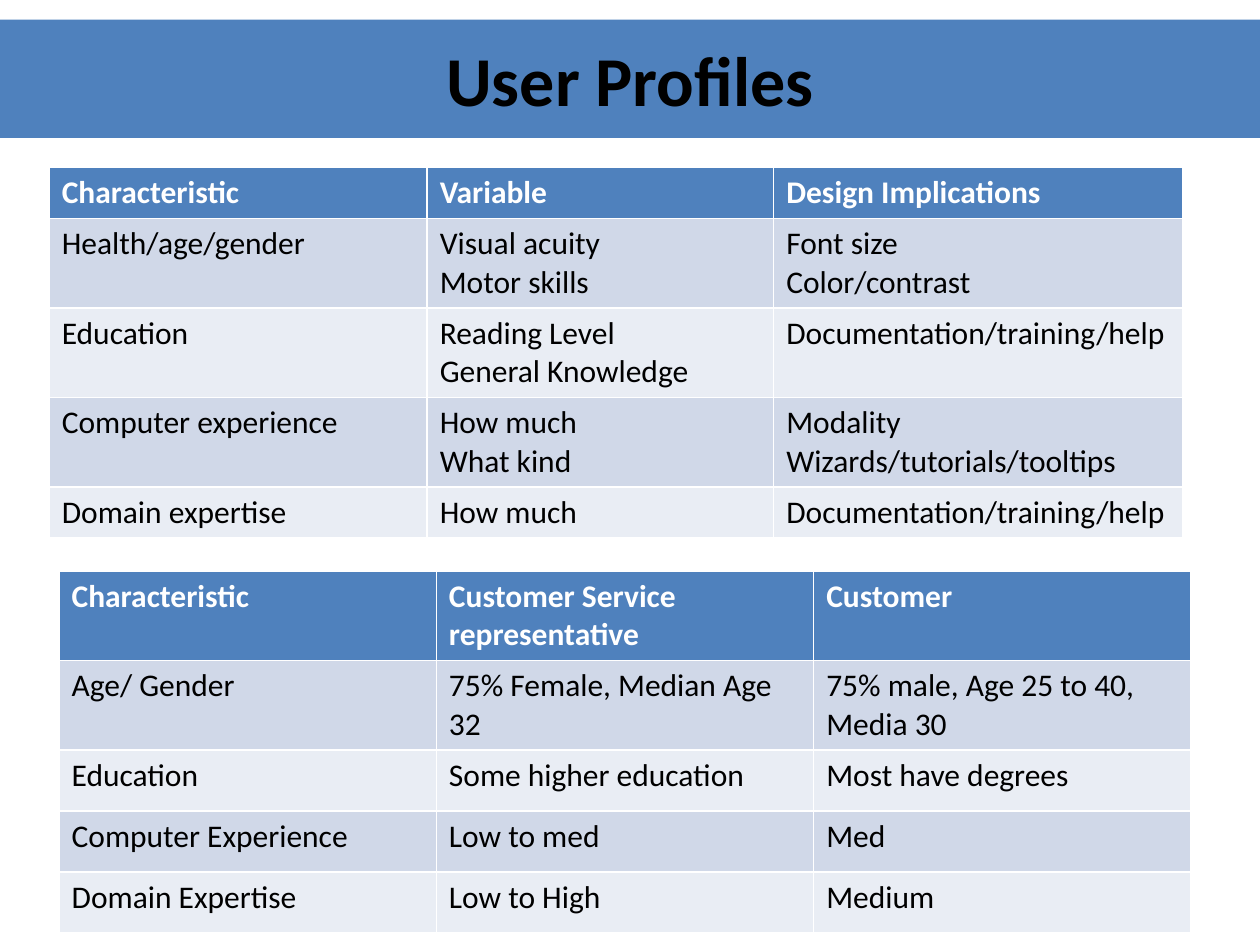
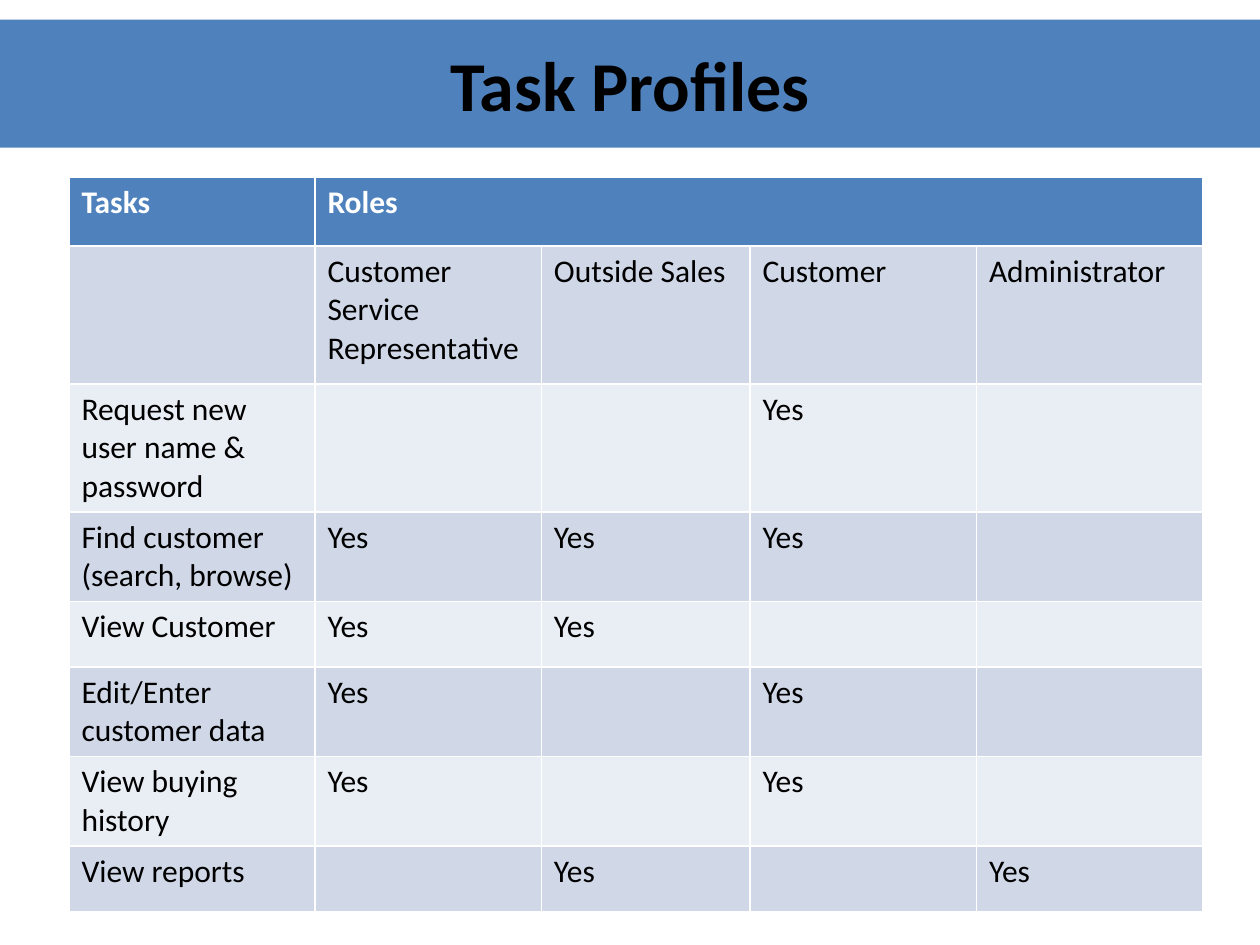
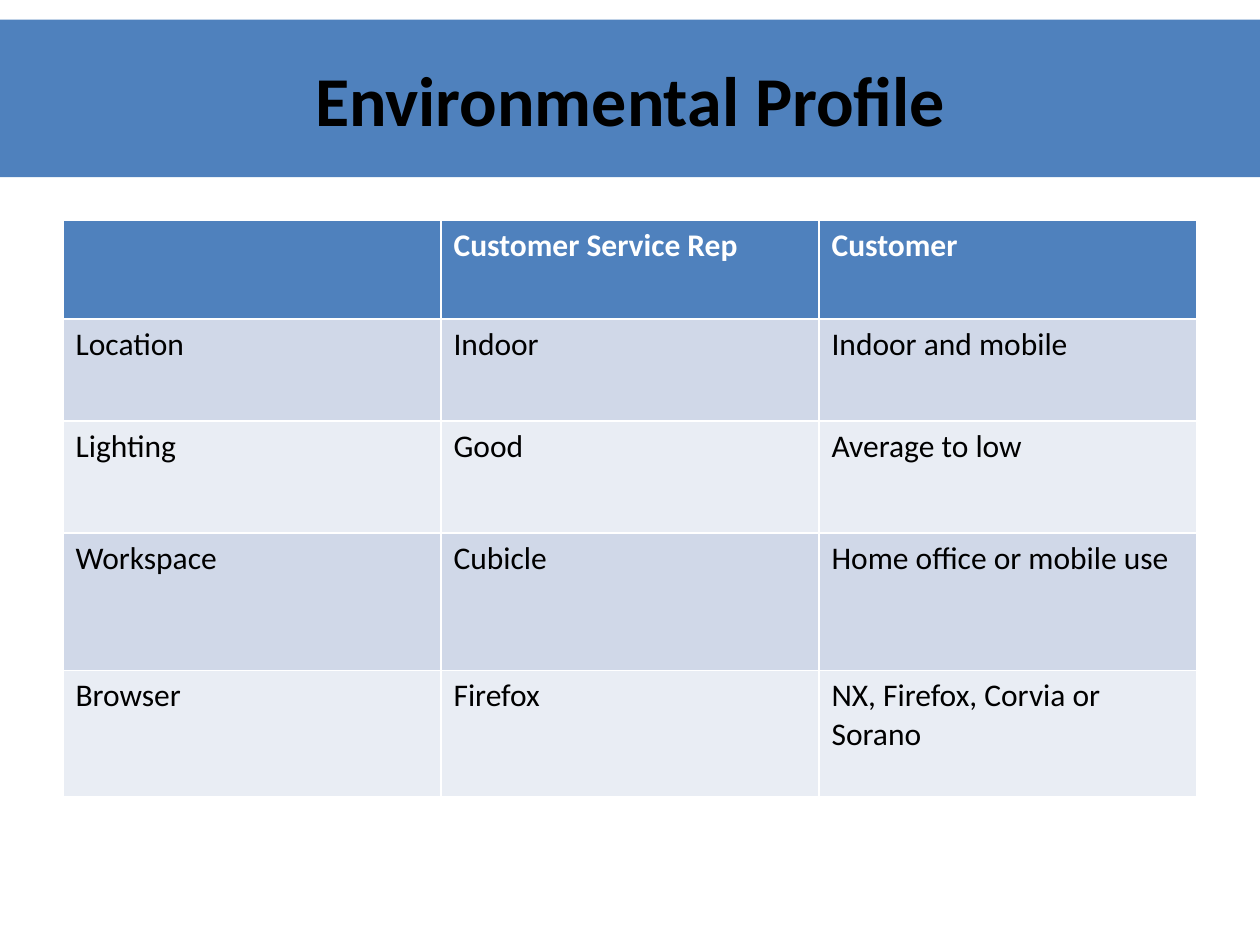
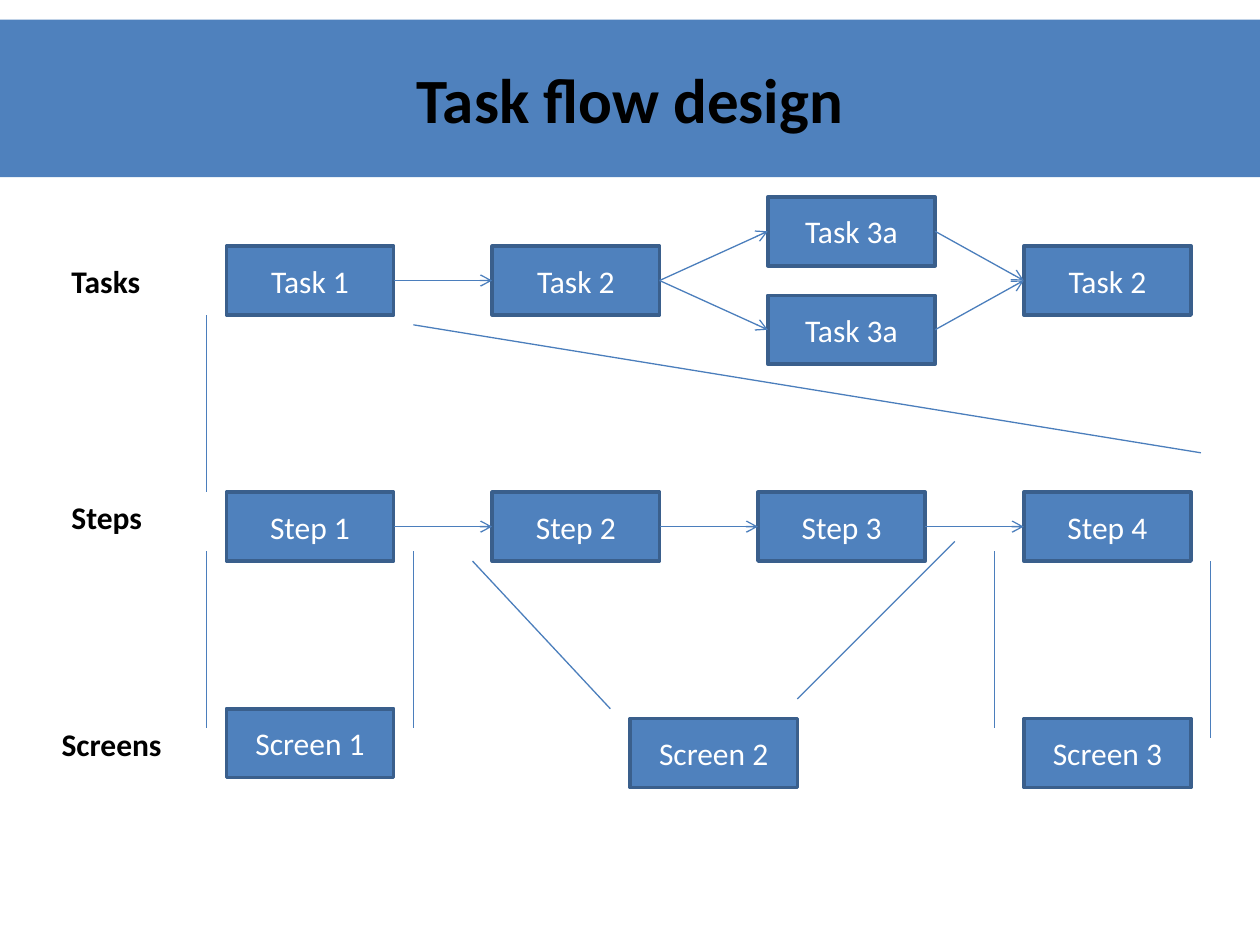
from pptx import Presentation, util as u
from pptx.dml.color import RGBColor
from pptx.enum import shapes, text
from pptx.oxml.ns import qn
from lxml import etree

COLUMNS, ROWS = 128, 96
FONT = "Calibri"
BLUE, OUTLINE, LINE = "4F81BD", "3A5F8C", "4B7EBC"
BAND_DARK, BAND_LIGHT = "D0D8E8", "E9EDF4"
BLACK, WHITE = "000000", "FFFFFF"
LEFT_SITE, RIGHT_SITE = 1, 3


def paint(color_format, value):
    color_format.rgb = RGBColor.from_string(value)


def fill(target, value):
    target.fill.solid()
    paint(target.fill.fore_color, value)


class Pages:
    """Draws on the current slide; all lengths are grid columns and rows."""

    def __init__(self):
        self.deck = Presentation()
        self.deck.slide_width, self.deck.slide_height = u.Inches(10), u.Inches(7.5)
        self.page = None

    def x(self, columns):
        return round(self.deck.slide_width * columns / COLUMNS)

    def y(self, rows):
        return round(self.deck.slide_height * rows / ROWS)

    def area(self, left, top, width, height):
        return self.x(left), self.y(top), self.x(width), self.y(height)

    def set_text(self, frame, words, color, size=18, bold=False, align=None):
        frame.text = words
        for para in frame.paragraphs:
            if align is not None:
                para.alignment = align
            font = para.font
            font.name, font.size, font.bold = FONT, u.Pt(size), bold
            paint(font.color, color)

    def start(self, title, height, size=40):
        """Add a slide with its title band."""
        self.page = self.deck.slides.add_slide(self.deck.slide_layouts[5])
        band = self.page.shapes.title
        band.left, band.top, band.width, band.height = self.area(0, 2, COLUMNS, height)
        fill(band, BLUE)
        band.text_frame.vertical_anchor = text.MSO_ANCHOR.MIDDLE
        self.set_text(band.text_frame, title, BLACK, size, True, text.PP_ALIGN.CENTER)

    def table(self, left, top, height, widths, heights, lines):
        """Add a banded table; a line may stop before its last, empty cells."""
        frame = self.page.shapes.add_table(
            len(lines), len(widths), *self.area(left, top, sum(widths), height))
        grid = frame.table
        for column, width in zip(grid.columns, widths):
            column.width = self.x(width)
        for index, (row, row_height) in enumerate(zip(grid.rows, heights)):
            row.height = self.y(row_height)
            header = index == 0
            shade = BLUE if header else BAND_DARK if index % 2 else BAND_LIGHT
            words = lines[index] + ("",) * (len(widths) - len(lines[index]))
            for cell, entry in zip(row.cells, words):
                fill(cell, shade)
                self.set_text(cell.text_frame, entry, WHITE if header else BLACK, bold=header)
        frame.height = self.y(height)
        return grid

    def box(self, words, left, top):
        box = self.page.shapes.add_shape(
            shapes.MSO_SHAPE.RECTANGLE, *self.area(left, top, 17, 7))
        box.shadow.inherit = False
        fill(box, BLUE)
        paint(box.line.color, OUTLINE)
        box.line.width = u.Pt(2)
        box.text_frame.vertical_anchor = text.MSO_ANCHOR.MIDDLE
        self.set_text(box.text_frame, words, WHITE, align=text.PP_ALIGN.CENTER)
        return box

    def label(self, words, left, top, width):
        frame = self.page.shapes.add_textbox(*self.area(left, top, width, 5.17)).text_frame
        frame.word_wrap = True
        frame.auto_size = text.MSO_AUTO_SIZE.SHAPE_TO_FIT_TEXT
        self.set_text(frame, words, BLACK, bold=True)

    def line(self, x1, y1, x2, y2):
        line = self.page.shapes.add_connector(
            shapes.MSO_CONNECTOR.STRAIGHT, self.x(x1), self.y(y1), self.x(x2), self.y(y2))
        paint(line.line.color, LINE)
        line.line.width = u.Pt(0.75)
        etree.SubElement(line._element.spPr, qn("a:effectLst"))
        return line

    def arrow(self, source, target):
        """Link the right side of one box to the left side of another."""
        arrow = self.line(0, 0, 1, 1)
        arrow.begin_connect(source, RIGHT_SITE)
        arrow.end_connect(target, LEFT_SITE)
        outline = arrow._element.spPr.find(qn("a:ln"))
        etree.SubElement(outline, qn("a:tailEnd"), type="arrow")


def user_profiles(pages):
    pages.start("User Profiles", 12)
    pages.table(5, 17, 37.1, [38.4, 35.2, 41.6], [4.35, 7.55, 7.55, 7.55, 4.35], [
        ("Characteristic", "Variable", "Design Implications"),
        ("Health/age/gender", "Visual acuity\nMotor skills", "Font size\nColor/contrast"),
        ("Education", "Reading Level\nGeneral Knowledge", "Documentation/training/help"),
        ("Computer experience", "How much\nWhat kind", "Modality\nWizards/tutorials/tooltips"),
        ("Domain expertise", "How much", "Documentation/training/help"),
    ])
    pages.table(6, 58, 36.5, [38.33] * 3, [8.2] * 2 + [6.2] * 3, [
        ("Characteristic", "Customer Service representative", "Customer"),
        ("Age/ Gender", "75% Female, Median Age 32", "75% male, Age 25 to 40, Media 30"),
        ("Education", "Some higher education", "Most have degrees"),
        ("Computer Experience", "Low to med", "Med"),
        ("Domain Expertise", "Low to High", "Medium"),
    ])


def task_profiles(pages):
    pages.start("Task Profiles", 13)
    tasks = pages.table(7, 18, 73.9, [25, 23, 21.2, 23, 23], [7, 14] + [6.65] * 6, [
        ("Tasks", "Roles"),
        ("", "Customer Service Representative", "Outside Sales", "Customer", "Administrator"),
        ("Request new user name & password", "", "", "Yes"),
        ("Find customer (search, browse)", "Yes", "Yes", "Yes"),
        ("View Customer", "Yes", "Yes"),
        ("Edit/Enter customer data", "Yes", "", "Yes"),
        ("View buying history", "Yes", "", "Yes"),
        ("View reports", "", "Yes", "", "Yes"),
    ])
    tasks.cell(0, 1).merge(tasks.cell(0, 4))


def environmental_profile(pages):
    pages.start("Environmental Profile", 16)
    pages.table(6.4, 22.4, 58.6, [38.4] * 3, [10, 10.35, 11.4, 13.95, 12.9], [
        ("", "Customer Service Rep", "Customer"),
        ("Location", "Indoor", "Indoor and mobile"),
        ("Lighting", "Good", "Average to low"),
        ("Workspace", "Cubicle", "Home office or mobile use"),
        ("Browser", "Firefox", "NX, Firefox, Corvia or Sorano"),
    ])


def task_flow(pages):
    pages.start("Task flow design", 16, 36)
    task_1, task_2, task_3_top, task_3_low, task_end = [
        pages.box(f"Task {name}", left, top) for name, left, top in (
            ("1", 23, 25), ("2", 50, 25), ("3a", 78, 20), ("3a", 78, 30), ("2", 104, 25))]
    steps = [pages.box(f"Step {i + 1}", 23 + 27 * i, 50) for i in range(4)]
    for number, (left, top) in enumerate([(23, 72), (64, 73), (104, 73)], 1):
        pages.box(f"Screen {number}", left, top)

    for ends in ((42, 33, 122, 46), (21, 32, 21, 50), (21, 56, 21, 74), (42, 56, 42, 74),
                 (48, 57, 62, 72), (97, 55, 81, 71), (101, 56, 101, 74), (123, 57, 123, 75)):
        pages.line(*ends)

    pages.label("Tasks", 6, 26, 11)
    pages.label("Steps", 6, 50, 11)
    pages.label("Screens", 5, 73, 13)

    links = [(task_1, task_2), (task_2, task_3_top), (task_2, task_3_low),
             (task_3_low, task_end), (task_3_top, task_end), *zip(steps, steps[1:])]
    for source, target in links:
        pages.arrow(source, target)


def main():
    pages = Pages()
    for draw in (user_profiles, task_profiles, environmental_profile, task_flow):
        draw(pages)
    pages.deck.save("out.pptx")


if __name__ == "__main__":
    main()
